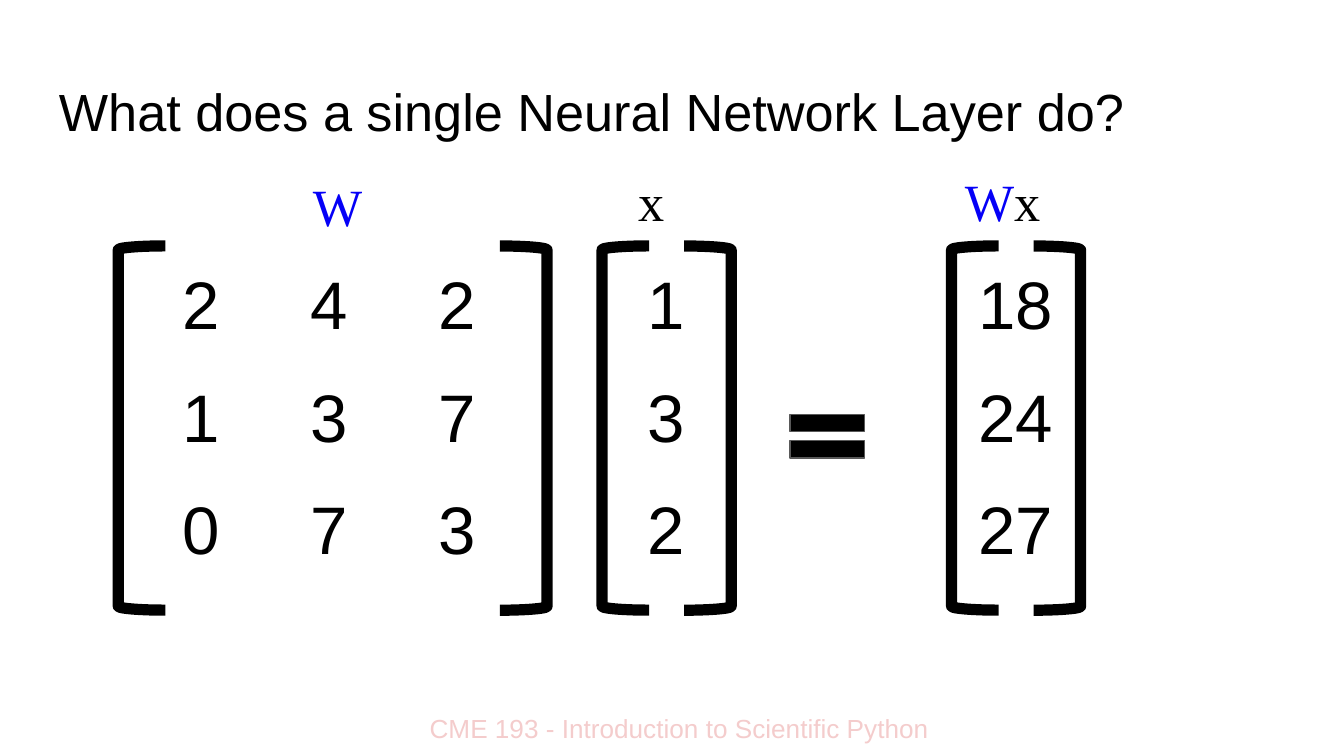
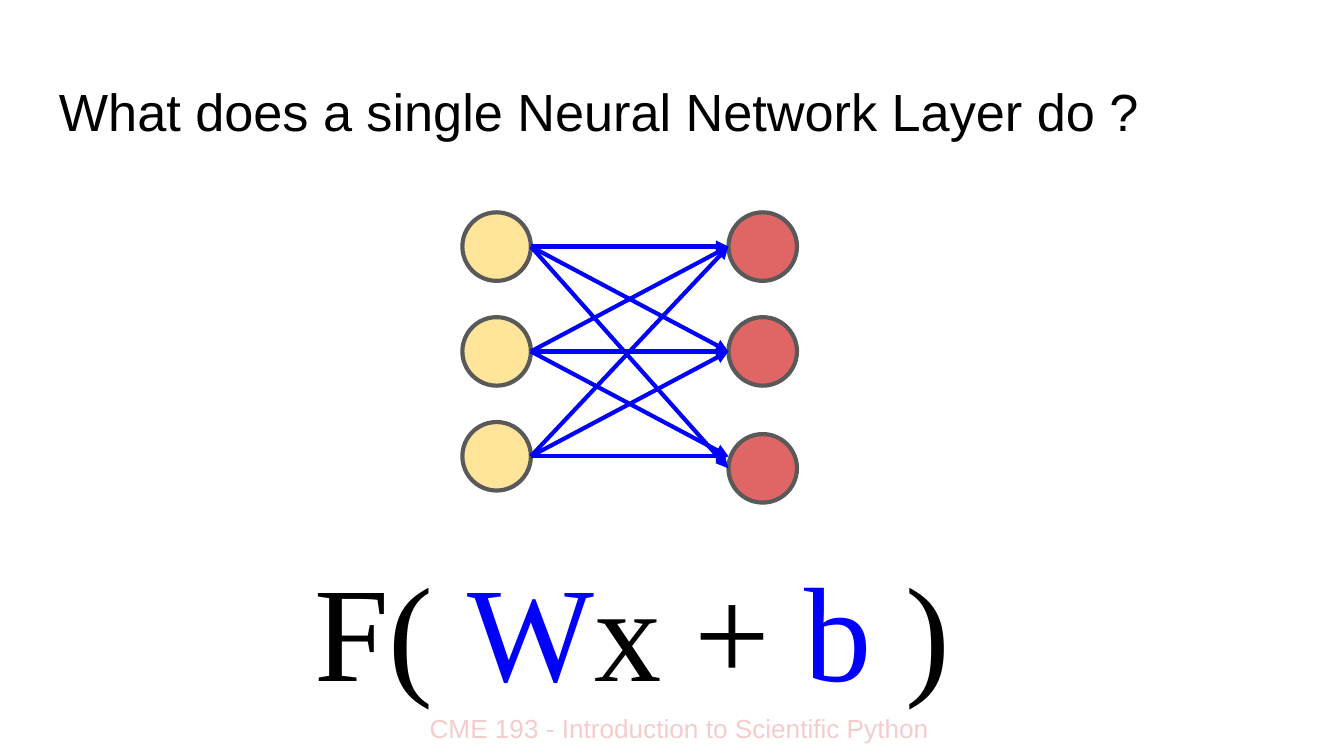
from lxml import etree
from pptx import Presentation
from pptx.dml.color import RGBColor
from pptx.enum.shapes import MSO_CONNECTOR, MSO_SHAPE
from pptx.enum.text import MSO_ANCHOR, PP_ALIGN
from pptx.oxml.ns import qn
from pptx.util import Inches, Pt

LEFT, CENTER = PP_ALIGN.LEFT, PP_ALIGN.CENTER
TOP = MSO_ANCHOR.TOP
BRACKET, EQUAL, OVAL = MSO_SHAPE.LEFT_BRACKET, MSO_SHAPE.MATH_EQUAL, MSO_SHAPE.OVAL
STRAIGHT = MSO_CONNECTOR.STRAIGHT

SANS, SERIF = "Arial", "Times New Roman"
BLACK, WHITE, GRAY, PINK = "000000", "FFFFFF", "595959", "F4CCCC"
INDIGO, BLUE, YELLOW, RED = "0500F7", "0000FF", "FFE599", "E06666"

FOOTER = "CME 193 - Introduction to Scientific Python"
MATRIX_TITLE = "What does a single Neural Network Layer do?"
NETWORK_TITLE = "What does a single Neural Network Layer do ?"

MATRICES = [
    {"rows": [["2", "4", "2"], ["1", "3", "7"], ["0", "7", "3"]],
     "left": 1.02, "brackets": (0.88, 3.72),
     "label": [("W", INDIGO)], "label_at": (2.23, 1.25)},
    {"rows": [["1"], ["3"], ["2"]],
     "left": 4.48, "brackets": (4.48, 5.09),
     "label": [("x", BLACK)], "label_at": (4.65, 1.21)},
    {"rows": [["18"], ["24"], ["27"]],
     "left": 7.08, "brackets": (7.08, 7.69),
     "label": [("W", INDIGO), ("x", BLACK)], "label_at": (7.08, 1.21)},
]
TABLE_TOP, COLUMN, ROW = 1.9, 2.86 / 3, 2.51 / 3
BRACKET_TOP, BRACKET_WIDTH, BRACKET_HEIGHT = 1.83, 0.35, 2.71

FORMULA = [("F( ", BLACK), ("W", BLUE), ("x + ", BLACK), ("b", BLUE), (" )", BLACK)]
NODE, NODE_TOP, NODE_STEP = 0.51, 1.58, 0.78
INPUT_LEFT, OUTPUT_LEFT = 3.44, 5.42
LAST_DROP = 0.09


def color(value):
    return RGBColor.from_string(value)


def add_text(page, at, spans, size, font, align=LEFT, inset=0.1):
    box = page.shapes.add_textbox(*map(Inches, at))
    frame = box.text_frame
    frame.word_wrap = True
    frame.vertical_anchor = TOP
    frame.margin_left = frame.margin_right = Inches(0.1)
    frame.margin_top = frame.margin_bottom = Inches(inset)
    para = frame.paragraphs[0]
    para.alignment = align
    for text, tint in spans:
        span = para.add_run()
        span.text = text
        style_font(span.font, size, font, tint)


def style_font(font, size, name, tint):
    font.size, font.name = Pt(size), name
    font.color.rgb = color(tint)


def add_shape(page, kind, at, fill, line, width):
    shape = page.shapes.add_shape(kind, *map(Inches, at))
    shape.shadow.inherit = False
    if fill:
        shape.fill.solid()
        shape.fill.fore_color.rgb = color(fill)
    else:
        shape.fill.background()
    shape.line.color.rgb = color(line)
    shape.line.width = Pt(width)
    return shape


def add_page(deck, title):
    page = deck.slides.add_slide(deck.slide_layouts[6])
    page.background.fill.solid()
    page.background.fill.fore_color.rgb = color(WHITE)
    add_text(page, (2.19, 5.2, 5.73, 0.23), [(FOOTER, PINK)], 14, SANS, CENTER)
    add_text(page, (0.34, 0.49, 9.32, 0.63), [(title, BLACK)], 28, SANS)
    return page


def add_borders(cell):
    properties = cell._tc.get_or_add_tcPr()
    for index, side in enumerate(("a:lnL", "a:lnR", "a:lnT", "a:lnB")):
        border = etree.Element(qn(side), w=str(Pt(0.75)))
        fill = etree.SubElement(border, qn("a:solidFill"))
        etree.SubElement(fill, qn("a:srgbClr"), val=WHITE)
        properties.insert(index, border)


def add_matrix(page, rows, left, brackets, label, label_at):
    count, width = len(rows), len(rows[0])
    table = page.shapes.add_table(count, width, Inches(left), Inches(TABLE_TOP),
                                  Inches(width * COLUMN), Inches(count * ROW)).table
    table.first_row = table.horz_banding = False
    for r, row in enumerate(rows):
        for c, text in enumerate(row):
            cell = table.cell(r, c)
            cell.text = text
            cell.fill.background()
            cell.margin_left = cell.margin_right = Inches(0.1)
            cell.margin_top = cell.margin_bottom = Inches(0.1)
            para = cell.text_frame.paragraphs[0]
            para.alignment = CENTER
            style_font(para.runs[0].font, 36, SANS, BLACK)
            add_borders(cell)
    for bracket_left, rotation in zip(brackets, (0, 180)):
        at = (bracket_left, BRACKET_TOP, BRACKET_WIDTH, BRACKET_HEIGHT)
        bracket = add_shape(page, BRACKET, at, None, BLACK, 6)
        bracket.adjustments[0] = 0.083
        bracket.rotation = rotation
    add_text(page, (*label_at, 1.42, 0.57), label, 28, SERIF, inset=0.05)


def add_arrow(page, start, end):
    arrow = page.shapes.add_connector(STRAIGHT, *map(Inches, (*start, *end)))
    arrow.line.color.rgb = color(BLUE)
    arrow.line.width = Pt(2.25)
    etree.SubElement(arrow.line._get_or_add_ln(), qn("a:tailEnd"), type="triangle")
    etree.SubElement(arrow._element.spPr, qn("a:effectLst"))


def build_matrix_page(deck):
    page = add_page(deck, MATRIX_TITLE)
    for matrix in MATRICES:
        add_matrix(page, **matrix)
    equal = add_shape(page, EQUAL, (5.78, 2.97, 0.75, 0.55), BLACK, GRAY, 0.75)
    equal.adjustments[0], equal.adjustments[1] = 0.235, 0.118


def build_network_page(deck):
    page = add_page(deck, NETWORK_TITLE)
    add_text(page, (2.24, 3.97, 5.23, 1.59), FORMULA, 72, SERIF)
    tops = [NODE_TOP + step * NODE_STEP for step in range(3)]
    output_tops = [*tops[:2], tops[2] + LAST_DROP]
    for left, node_tops, fill in ((INPUT_LEFT, tops, YELLOW), (OUTPUT_LEFT, output_tops, RED)):
        for top in node_tops:
            add_shape(page, OVAL, (left, top, NODE, NODE), fill, GRAY, 2.25)
    for i, start in enumerate(tops):
        for j, end in enumerate(tops):
            drop = LAST_DROP if (i, j) == (0, 2) else 0
            add_arrow(page, (INPUT_LEFT + NODE, start + NODE / 2),
                      (OUTPUT_LEFT, end + NODE / 2 + drop))


def main():
    """Build the two slides on what a neural network layer computes."""
    deck = Presentation()
    deck.slide_width = Inches(10)
    deck.slide_height = deck.slide_width * 9 // 16
    build_matrix_page(deck)
    build_network_page(deck)
    deck.save("out.pptx")


if __name__ == "__main__":
    main()
